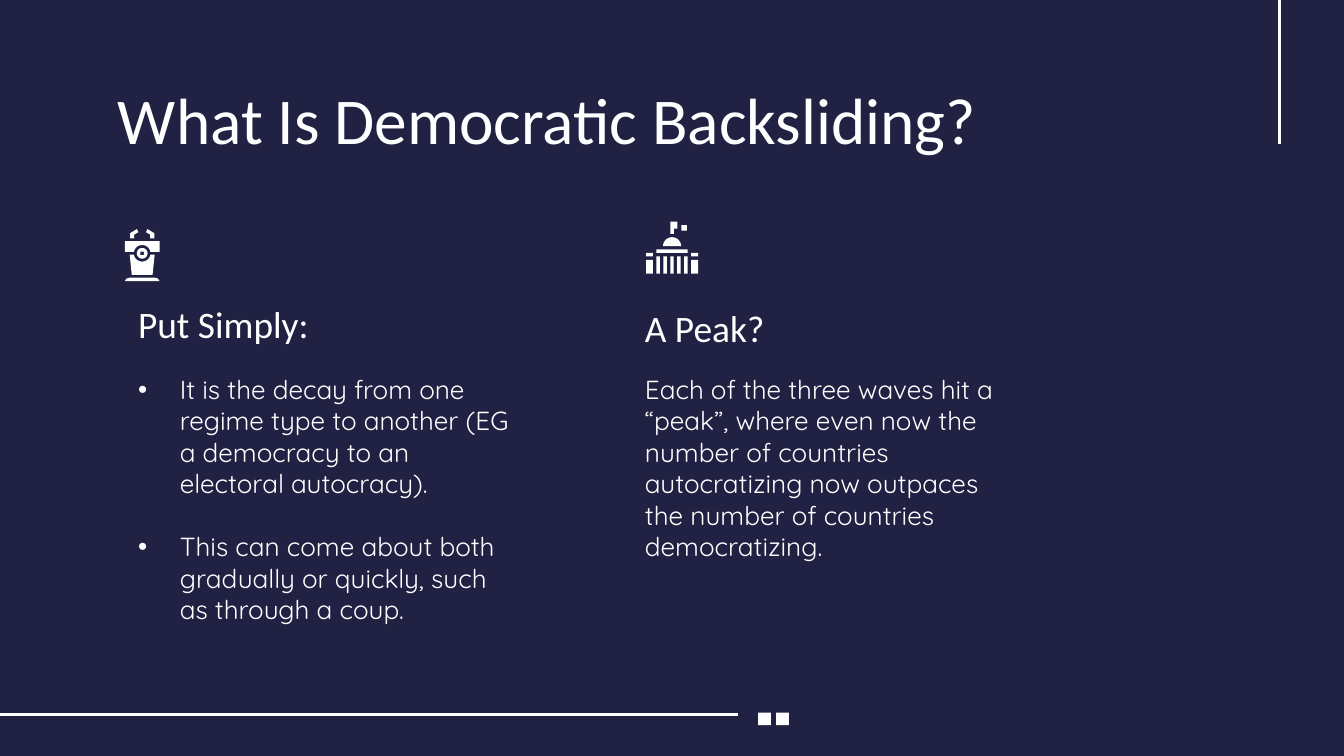
from math import cos, radians, sin

from lxml.etree import SubElement
from pptx import Presentation
from pptx.dml.color import RGBColor
from pptx.enum.shapes import MSO_CONNECTOR, MSO_SHAPE
from pptx.enum.text import MSO_ANCHOR
from pptx.oxml.ns import qn
from pptx.util import Cm, Pt

COLORS = {"background": "202143", "ink": "FFFFFF"}
UNIT = 0.0655  # cm per icon grid step; both icons are 15 steps high


def rgb(name):
    return RGBColor.from_string(COLORS[name])


def paint(sp):
    sp.shadow.inherit = False
    sp.fill.solid()
    sp.fill.fore_color.rgb = rgb("ink")
    sp.line.fill.background()


def add_line(s, x1, y1, x2, y2):
    line = s.shapes.add_connector(
        MSO_CONNECTOR.STRAIGHT, Cm(x1), Cm(y1), Cm(x2), Cm(y2))
    line.line.color.rgb = rgb("ink")
    line.line.width = Pt(1.5)
    SubElement(line._element.spPr, qn("a:effectLst"))


def add_block(s, x, y, w, h):
    sp = s.shapes.add_shape(MSO_SHAPE.RECTANGLE, Cm(x), Cm(y), Cm(w), Cm(h))
    paint(sp)


def add_outline(s, origin, *contours):
    """Draw closed contours, given in icon grid steps from the origin."""
    x0, y0 = origin
    scaled = [[(Cm(x0 + x * UNIT), Cm(y0 + y * UNIT)) for x, y in c]
              for c in contours]
    builder = s.shapes.build_freeform(*scaled[0][0])
    builder.add_line_segments(scaled[0][1:], close=True)
    for contour in scaled[1:]:
        builder.move_to(*contour[0])
        builder.add_line_segments(contour[1:], close=True)
    paint(builder.convert_to_shape())


def arc(cx, cy, radius, start, end, steps=24):
    angles = [radians(start + (end - start) * i / steps) for i in range(steps + 1)]
    return [(cx + radius * cos(a), cy + radius * sin(a)) for a in angles]


def add_text(s, box, paragraphs, size, font="Calibri", anchor=MSO_ANCHOR.TOP):
    tb = s.shapes.add_textbox(*[Cm(v) for v in box])
    tf = tb.text_frame
    tf.word_wrap = True
    tf.vertical_anchor = anchor
    tf.margin_left = tf.margin_right = tf.margin_top = tf.margin_bottom = Cm(0.25)
    tf.text = "\n".join(paragraphs)
    for p in tf.paragraphs:
        for r in p.runs:
            r.font.size = Pt(size)
            r.font.name = font
            r.font.color.rgb = rgb("ink")
    return tf


def add_bullet(p):
    pPr = p._p.get_or_add_pPr()
    pPr.set("marL", str(Cm(0.79)))
    pPr.set("indent", str(-Cm(0.79)))
    color = SubElement(SubElement(pPr, qn("a:buClr")), qn("a:srgbClr"))
    color.set("val", COLORS["ink"])
    SubElement(pPr, qn("a:buFont")).set("typeface", "Arial")
    SubElement(pPr, qn("a:buChar")).set("char", "•")


def add_decoration(s):
    add_line(s, 24.18, -0.08, 24.18, 2.72)
    add_line(s, -0.1, 13.51, 13.94, 13.51)
    for x in (14.33, 14.67):
        add_block(s, x, 13.47, 0.24, 0.24)


def add_building(s, x, y):
    blocks = [(10.2, 1, 1.6, 1.6), (3, 8, 9, 1)]
    blocks += [(left, 10, 1, 5) for left in range(3, 12, 2)]
    for left in (0, 13):
        blocks += [(left, 9, 2, 1), (left, 11, 2, 4)]
    for left, top, w, h in blocks:
        add_block(s, x + left * UNIT, y + top * UNIT, w * UNIT, h * UNIT)
    flag = [(7, 0), (9, 0), (9, 2), (8, 2), (8, 3.5), (7, 3.5)]
    dome = arc(7.5, 7.1, 2.6, 180, 360)
    add_outline(s, (x, y), flag)
    add_outline(s, (x, y), dome)


def add_podium(s, x, y):
    microphone = [(3.5, 0), (1.5, 1.2), (1.5, 2.7), (2.7, 2.7), (2.7, 1.6), (3.9, 0.9)]
    mirrored = [(10 - mx, my) for mx, my in microphone]
    desk = [(0, 6.6), *arc(5, 7, 2.4, 190, 350), (10, 6.6), (10, 3.5), (0, 3.5)]
    body = [(1.4, 7.4), (2, 13.2), (8, 13.2), (8.6, 7.4), *arc(5, 7, 2.4, 10, 170)]
    base = [(0, 15), (0.5, 14.3), (1.5, 14), (8.5, 14), (9.5, 14.3), (10, 15)]
    for contour in (microphone, mirrored, desk, body, base):
        add_outline(s, (x, y), contour)
    hole = [(4.5, 6.5), (4.5, 7.5), (5.5, 7.5), (5.5, 6.5)]
    add_outline(s, (x, y), arc(5, 7, 1.55, 0, 360), hole)


def main():
    prs = Presentation()
    prs.slide_width, prs.slide_height = Cm(25.4), Cm(14.29)
    s = prs.slides.add_slide(prs.slide_layouts[6])
    s.background.fill.solid()
    s.background.fill.fore_color.rgb = rgb("background")

    add_decoration(s)
    add_text(s, (1.98, 1.24, 21.44, 1.6), ["What Is Democratic Backsliding?"], 35)

    add_podium(s, 2.36, 4.33)
    add_text(s, (2.36, 5.49, 7.52, 1.3), ["Put Simply:"], 20, anchor=MSO_ANCHOR.BOTTOM)
    tf = add_text(s, (2.36, 6.81, 7.52, 5), [
        "It is the decay from one regime type to another "
        "(EG a democracy to an electoral autocracy).",
        "This can come about both gradually or quickly, such as through a coup.",
    ], 14, "Quicksand")
    tf.paragraphs[1].space_before = Pt(17)
    for p in tf.paragraphs:
        add_bullet(p)

    add_building(s, 12.21, 4.19)
    add_text(s, (11.94, 5.56, 7.52, 1.3), ["A Peak?"], 20, anchor=MSO_ANCHOR.BOTTOM)
    add_text(s, (11.94, 6.81, 7.52, 2.8), [
        "Each of the three waves hit a “peak”, where even now the number of "
        "countries autocratizing now outpaces the number of countries "
        "democratizing.",
    ], 14, "Quicksand")

    prs.save("out.pptx")


if __name__ == "__main__":
    main()
